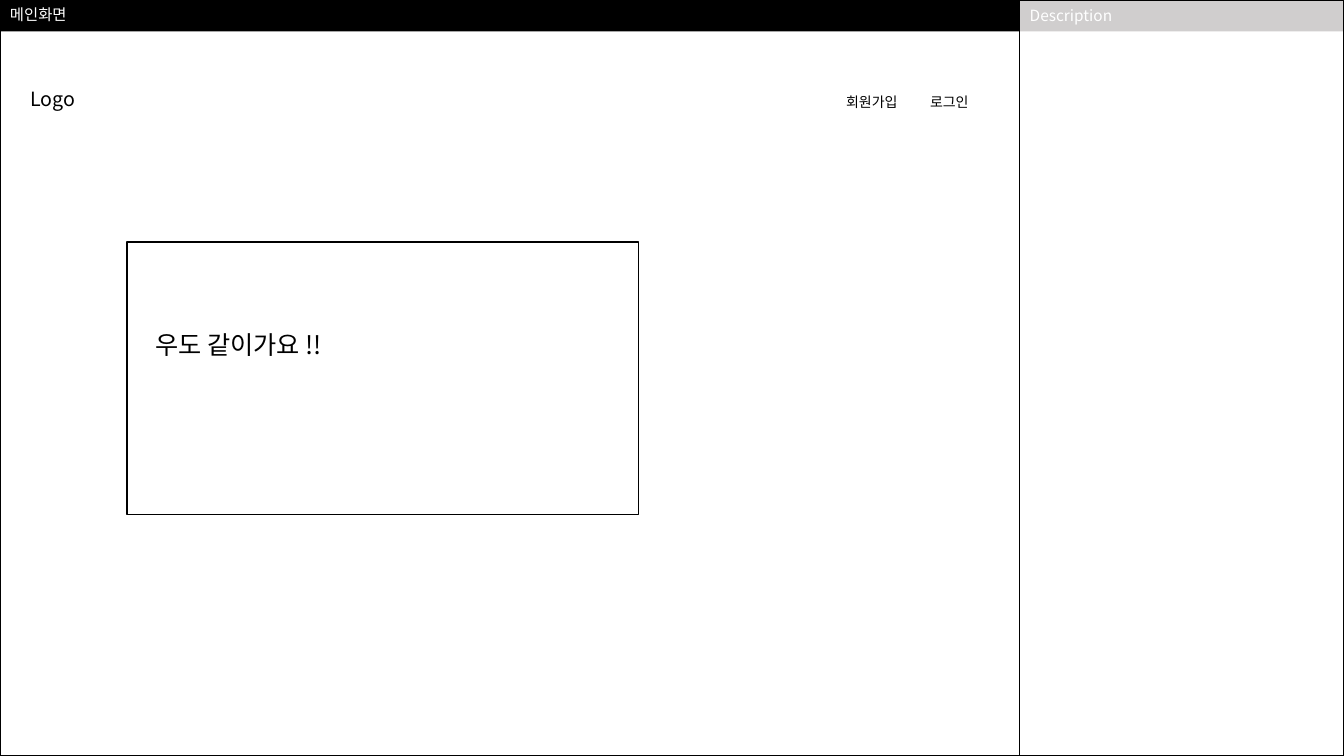
"""Builds the main-screen wireframe slide with its description panel."""
from dataclasses import dataclass
from typing import Optional

from lxml.etree import SubElement
from pptx import Presentation
from pptx.dml.color import RGBColor
from pptx.enum.shapes import MSO_SHAPE as Preset
from pptx.enum.text import MSO_ANCHOR as Anchor, PP_ALIGN as Align
from pptx.oxml.ns import qn
from pptx.util import Cm, Pt

FONT = "Noto Sans CJK KR"
BLACK, WHITE, GRAY = "000000", "FFFFFF", "D0CECE"
WIDTH, HEIGHT = 33.87, 19.05
SPLIT, BAR = 25.7, 0.79


@dataclass
class Label:
    text: str
    size: int
    color: str = BLACK
    align: Align = Align.LEFT
    line_spacing: Optional[float] = None
    space_before: int = 0


@dataclass
class Item:
    left: float
    top: float
    width: float
    height: float
    label: Optional[Label] = None
    fill: Optional[str] = None
    line: Optional[str] = None


PANELS = [
    Item(SPLIT, 0, WIDTH - SPLIT, BAR, Label("Description", 11, WHITE), fill=GRAY),
    Item(SPLIT, 0, WIDTH - SPLIT, HEIGHT, line=BLACK),
    Item(0, 0, SPLIT, HEIGHT, line=BLACK),
    Item(0, 0, SPLIT, BAR,
         Label("메인화면", 11, WHITE, line_spacing=0.9, space_before=10), fill=BLACK),
    Item(3.2, 6.1, 12.9, 6.86, fill=WHITE, line=BLACK),
]
TEXTS = [
    Item(0.51, 2.06, 3.15, 0.86, Label("Logo", 14)),
    Item(22.91, 2.24, 2.03, 0.69, Label("로그인", 10, align=Align.CENTER)),
    Item(20.52, 2.24, 2.9, 0.69, Label("회원가입", 10, align=Align.CENTER)),
    Item(3.66, 8.18, 6.35, 1.02, Label("우도 같이가요 !!", 18)),
]


def rgb(color: str) -> RGBColor:
    return RGBColor.from_string(color)


def frame(item: Item) -> tuple:
    return Cm(item.left), Cm(item.top), Cm(item.width), Cm(item.height)


def write(box, label: Label, anchor: Anchor) -> None:
    box.text_frame.word_wrap = True
    box.text_frame.vertical_anchor = anchor
    para = box.text_frame.paragraphs[0]
    para.text = label.text
    para.alignment = label.align
    para.line_spacing = label.line_spacing
    para.space_before = Pt(label.space_before)
    para.font.size = Pt(label.size)
    para.font.color.rgb = rgb(label.color)
    para.font.name = FONT
    defaults = para._p.pPr.find(qn("a:defRPr"))
    SubElement(defaults, qn("a:ea"), typeface=FONT)


def draw_panel(page, item: Item) -> None:
    box = page.shapes.add_shape(Preset.RECTANGLE, *frame(item))
    box.shadow.inherit = False
    if item.fill:
        box.fill.solid()
        box.fill.fore_color.rgb = rgb(item.fill)
    else:
        box.fill.background()
    if item.line:
        box.line.color.rgb = rgb(item.line)
        box.line.width = Pt(1)
    else:
        box.line.fill.background()
    if item.label:
        write(box, item.label, Anchor.MIDDLE)


def draw_text(page, item: Item) -> None:
    write(page.shapes.add_textbox(*frame(item)), item.label, Anchor.TOP)


def main() -> None:
    deck = Presentation()
    deck.slide_width, deck.slide_height = Cm(WIDTH), Cm(HEIGHT)
    page = deck.slides.add_slide(deck.slide_layouts[6])
    for panel in PANELS:
        draw_panel(page, panel)
    for text in TEXTS:
        draw_text(page, text)
    deck.save("out.pptx")


if __name__ == "__main__":
    main()
